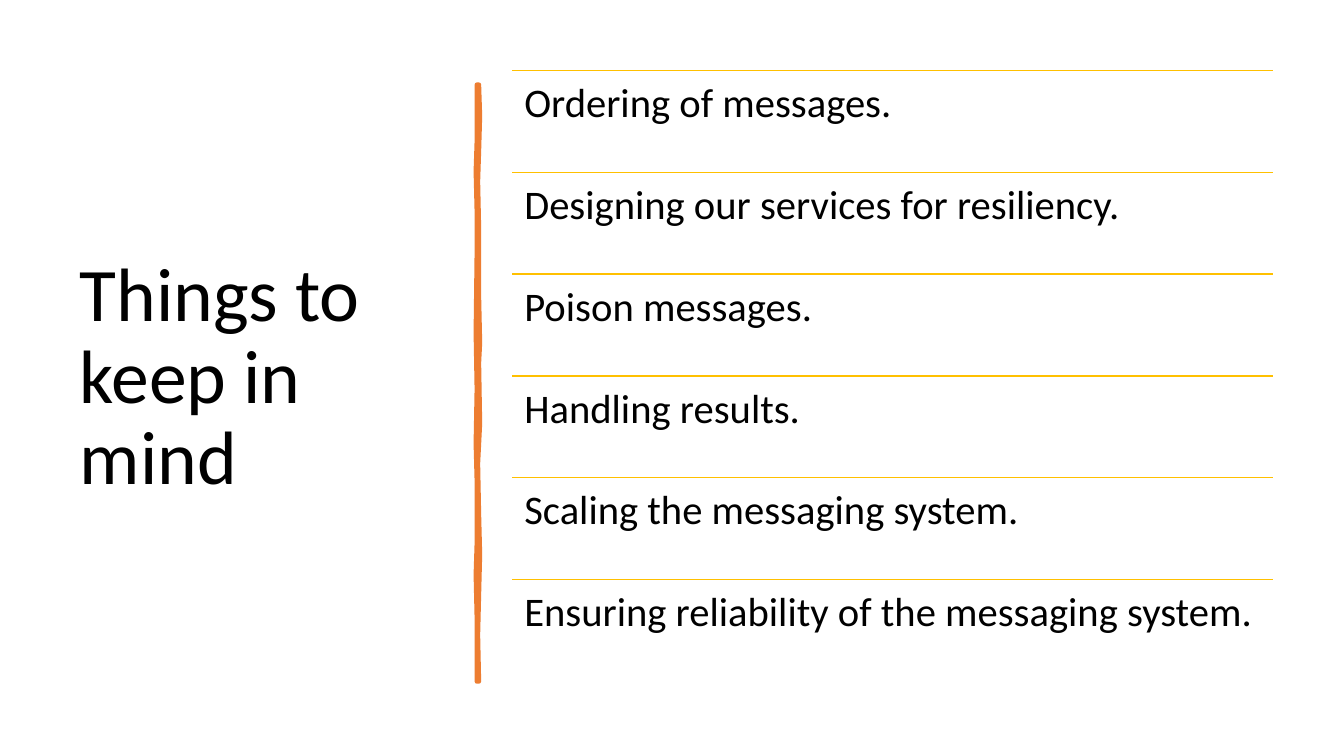
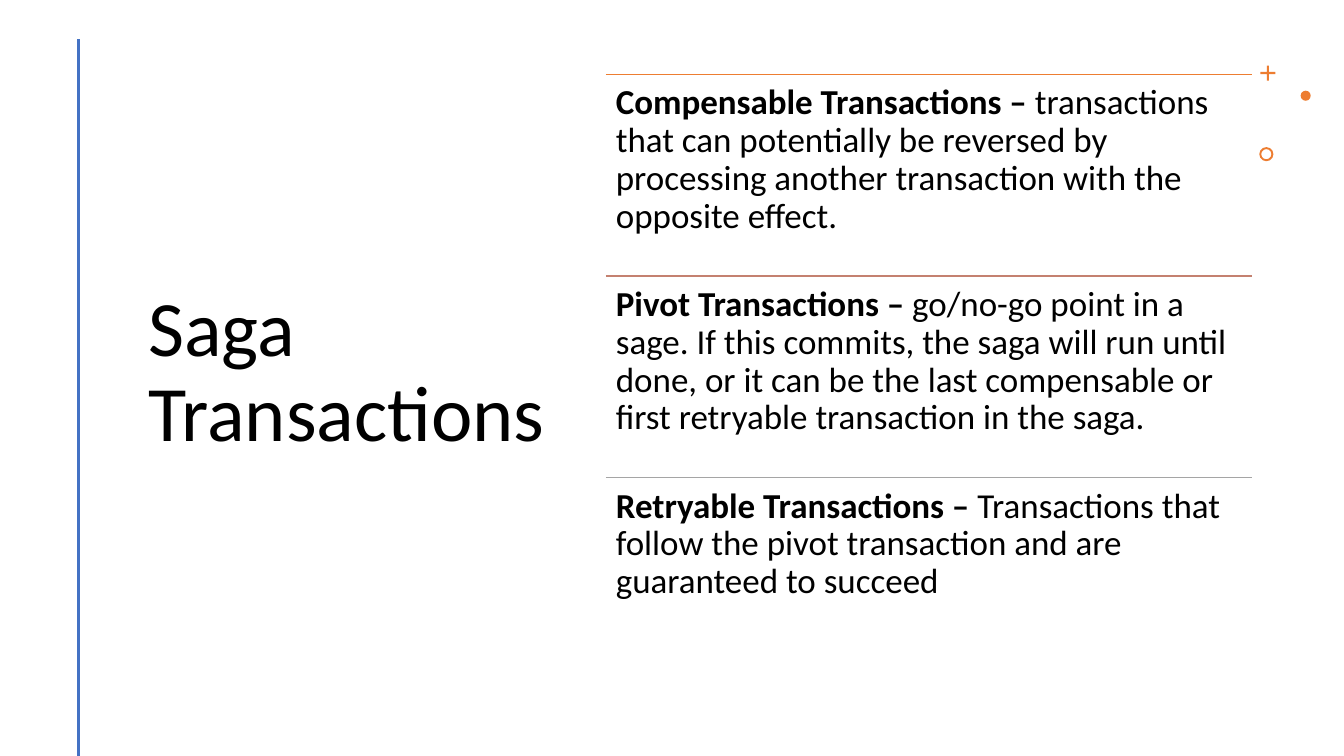
"""Build two slides, each with a title at left and a ruled list at right."""
from lxml import etree
from pptx import Presentation
from pptx import util as u
from pptx.dml.color import RGBColor
from pptx.enum import shapes, text
from pptx.oxml.ns import qn

HUES = {"ink": "000000", "orange": "ED7D31", "gold": "FFC000",
        "blue": "4472C4", "rose": "C48170", "gray": "A5A5A5"}
FONT = "Calibri"


def write(frame, runs, size, inset):
    frame.word_wrap = True
    frame.auto_size = text.MSO_AUTO_SIZE.NONE
    frame.margin_left = frame.margin_right = u.Inches(inset)
    frame.margin_top = frame.margin_bottom = u.Inches(inset)
    para = frame.paragraphs[0]
    para.alignment = text.PP_ALIGN.LEFT
    para.line_spacing = 0.9
    for words, bold in runs:
        run = para.add_run()
        run.text = words
        run.font.name = FONT
        run.font.size = u.Pt(size)
        run.font.bold = bold
        run.font.color.rgb = RGBColor.from_string(HUES["ink"])


def rule(slide, ends, hue, width):
    line = slide.shapes.add_connector(
        shapes.MSO_CONNECTOR.STRAIGHT, *[u.Inches(end) for end in ends])
    line.line.color.rgb = RGBColor.from_string(HUES[hue])
    line.line.width = u.Pt(width)
    etree.SubElement(line._element.spPr, qn("a:effectLst"))


deck = Presentation()
deck.slide_width = u.Inches(13.33)
deck.slide_height = u.Inches(7.5)

pages = [
    {"title": "Things to keep in mind", "box": (0.69, 0.7, 3.74, 6.11),
     "big": 54, "left": 5.08, "top": 0.7, "wide": 7.55, "step": 1.01,
     "size": 29, "inset": 0.12, "rows": [
         ("gold", [("Ordering of messages.", False)]),
         ("gold", [("Designing our services for resiliency.", False)]),
         ("gold", [("Poison messages.", False)]),
         ("gold", [("Handling results.", False)]),
         ("gold", [("Scaling the messaging system.", False)]),
         ("gold", [("Ensuring reliability of the messaging system.", False)])]},
    {"title": "Saga Transactions", "box": (1.37, 0.65, 4.31, 6.11),
     "big": 56, "left": 6.01, "top": 0.74, "wide": 6.41, "step": 2,
     "size": 25, "inset": 0.1, "rows": [
         ("orange", [("Compensable Transactions – ", True),
                     ("transactions that can potentially be reversed by "
                      "processing another transaction with the opposite "
                      "effect.", False)]),
         ("rose", [("Pivot Transactions – ", True),
                   ("go/no-go point in a sage. If this commits, the saga "
                    "will run until done, or it can be the last compensable "
                    "or first retryable transaction in the saga.", False)]),
         ("gray", [("Retryable Transactions – ", True),
                   ("Transactions that follow the pivot transaction and are "
                    "guaranteed to succeed", False)])]},
]

slides = []
for page in pages:
    slide = deck.slides.add_slide(deck.slide_layouts[5])
    slides.append(slide)
    title = slide.shapes.title
    title.left, title.top, title.width, title.height = [
        u.Inches(side) for side in page["box"]]
    title.text_frame.vertical_anchor = text.MSO_ANCHOR.MIDDLE
    write(title.text_frame, [(page["title"], False)], page["big"], 0.1)
    left, wide, step = page["left"], page["wide"], page["step"]
    for row, (hue, runs) in enumerate(page["rows"]):
        top = page["top"] + row * step
        rule(slide, (left, top, left + wide, top), hue, 1)
        box = slide.shapes.add_textbox(
            *[u.Inches(side) for side in (left, top, wide, step)])
        write(box.text_frame, runs, page["size"], page["inset"])

first, second = slides

right = [(4.75, 0.84), (4.76, 1.15), (4.75, 1.5), (4.74, 1.8), (4.75, 2.26),
         (4.75, 2.94), (4.76, 3.4), (4.75, 3.6), (4.76, 4.2), (4.74, 4.6),
         (4.75, 5.1), (4.76, 5.5), (4.75, 5.9), (4.74, 6.3), (4.75, 6.76)]
edge = [(4.73, 6.76), (4.73, 6.13), (4.72, 5.7), (4.73, 5.39), (4.73, 4.77),
        (4.72, 4.4), (4.73, 3.86), (4.72, 3.3), (4.73, 2.5), (4.73, 2.1),
        (4.72, 1.7), (4.73, 1.4), (4.73, 0.84)]
points = [(u.Inches(x), u.Inches(y)) for x, y in right + edge]
pen = first.shapes.build_freeform(*points[0])
pen.add_line_segments(points[1:], close=True)
stroke = pen.convert_to_shape()
stroke.shadow.inherit = False
stroke.fill.solid()
stroke.fill.fore_color.rgb = RGBColor.from_string(HUES["orange"])
stroke.line.color.rgb = RGBColor.from_string(HUES["orange"])
stroke.line.width = u.Pt(3.25)
etree.SubElement(stroke.line._ln, qn("a:round"))

rule(second, (0.78, 0.39, 0.78, 7.5), "blue", 2)
kind = shapes.MSO_SHAPE
for form, x, y, size, adjust in [(kind.CROSS, 12.5, 0.65, 0.15, 0.43),
                                 (kind.OVAL, 12.9, 0.9, 0.1, None),
                                 (kind.DONUT, 12.49, 1.46, 0.14, 0.14)]:
    mark = second.shapes.add_shape(
        form, *[u.Inches(side) for side in (x, y, size, size)])
    if adjust:
        mark.adjustments[0] = adjust
    mark.shadow.inherit = False
    mark.fill.solid()
    mark.fill.fore_color.rgb = RGBColor.from_string(HUES["orange"])
    mark.line.fill.background()

deck.save("out.pptx")
